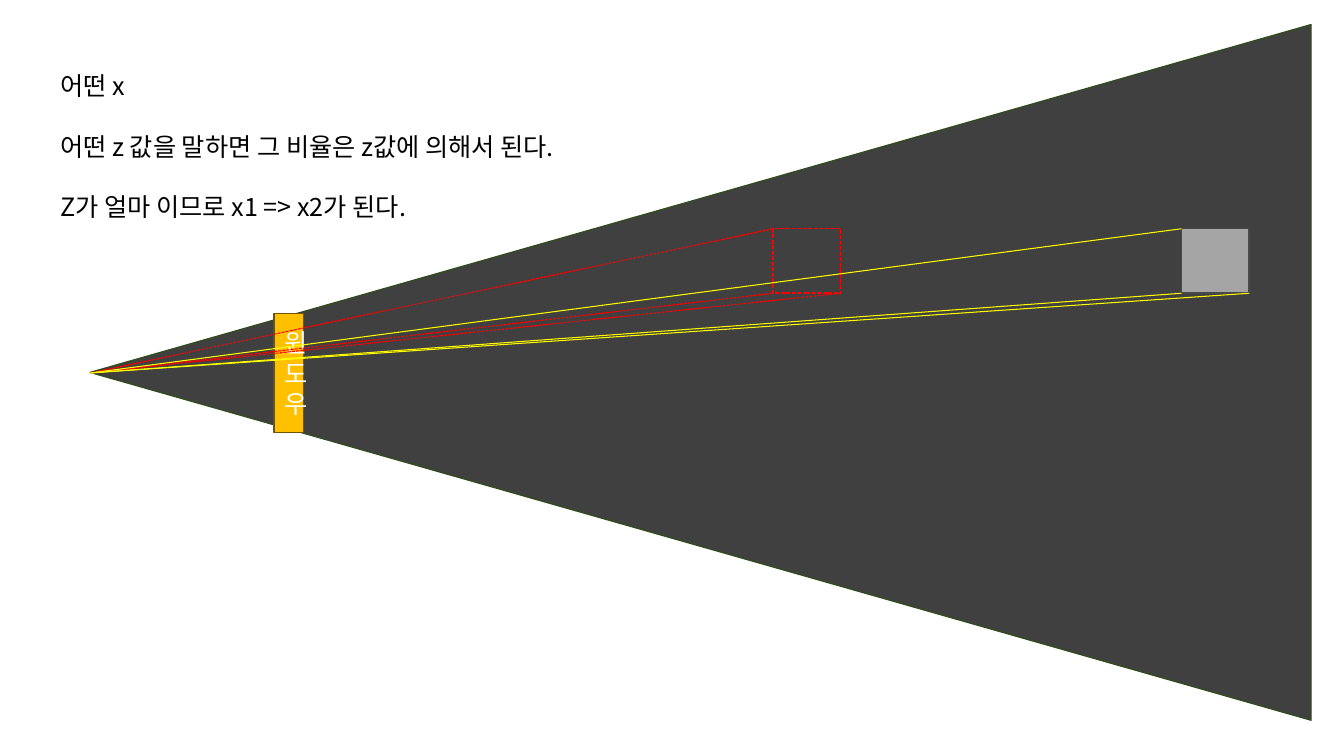
from pptx import Presentation
from pptx.dml.color import RGBColor
from pptx.enum.dml import MSO_LINE_DASH_STYLE as Dash
from pptx.enum.shapes import MSO_CONNECTOR as Connector, MSO_SHAPE as Preset
from pptx.enum.text import MSO_ANCHOR as Anchor, PP_ALIGN as Align
from pptx.oxml.ns import qn
from pptx.util import Pt
from lxml.etree import SubElement

FONT = "Noto Sans CJK KR"
WHITE = RGBColor(0xFF, 0xFF, 0xFF)
BLACK = RGBColor(0, 0, 0)
DARK = RGBColor(0x40, 0x40, 0x40)
GREEN = RGBColor(0x31, 0x4C, 0x1F)
AMBER = RGBColor(0xFF, 0xC0, 0x00)
BROWN = RGBColor(0x70, 0x54, 0x00)
RED = RGBColor(0xFF, 0, 0)
YELLOW = RGBColor(0xFF, 0xFF, 0)
GREY = RGBColor(0xA5, 0xA5, 0xA5)
SLATE = RGBColor(0x48, 0x48, 0x48)

EYE = (64.8, 266.4)
LINE_PITCH = 21.6
NOTES = ("어떤 x", "어떤 z 값을 말하면 그 비율은 z값에 의해서 된다.",
         "Z가 얼마 이므로 x1 => x2가 된다.")


def write_text(shape, lines, color=BLACK, align=Align.LEFT, anchor=Anchor.TOP, gap=0):
    """Write one paragraph per line with the given format."""
    frame = shape.text_frame
    frame.word_wrap = True
    frame.vertical_anchor = anchor
    for index, line in enumerate(lines):
        para = frame.add_paragraph() if index else frame.paragraphs[0]
        para.alignment = align
        para.line_spacing = Pt(LINE_PITCH)
        para.space_before = Pt(gap if index else 0)
        span = para.add_run()
        span.text = line
        span.font.size = Pt(18)
        span.font.name = FONT
        span.font.color.rgb = color
        SubElement(span.font._element, qn("a:ea"), typeface=FONT)


def add_preset(slide, preset, box, line, fill=None, dash=None):
    """Draw a preset shape in the box and return it."""
    shape = slide.shapes.add_shape(preset, *map(Pt, box))
    shape.shadow.inherit = False
    if fill is None:
        shape.fill.background()
    else:
        shape.fill.solid()
        shape.fill.fore_color.rgb = fill
    shape.line.color.rgb = line
    shape.line.width = Pt(1)
    shape.line.dash_style = dash
    return shape


def add_ray(slide, start, color, dash=None):
    """Draw a sight line from a point to the eye."""
    ray = slide.shapes.add_connector(Connector.STRAIGHT, *map(Pt, start + EYE))
    ray.line.color.rgb = color
    ray.line.width = Pt(0.75)
    ray.line.dash_style = dash
    SubElement(ray._element.spPr, qn("a:effectLst"))


def add_view_cone(slide, box):
    """Draw the field of view as a triangle pointing left across the box."""
    left, top, width, height = box
    upright = (left + (width - height) / 2, top + (height - width) / 2, height, width)
    cone = add_preset(slide, Preset.ISOSCELES_TRIANGLE, upright, GREEN, DARK)
    cone.rotation = 270


def add_window(slide, box):
    """Draw the labelled window in front of the eye."""
    window = add_preset(slide, Preset.RECTANGLE, box, BROWN, AMBER)
    write_text(window, ["윈도우"], color=WHITE, align=Align.CENTER, anchor=Anchor.MIDDLE)


def add_target(slide, box, line, ray_color, fill=None, dash=None):
    """Draw a target square and the rays from three of its corners."""
    left, top, width, height = box
    add_preset(slide, Preset.RECTANGLE, box, line, fill, dash)
    bottom = top + height
    for corner in ((left, top), (left, bottom), (left + width, bottom)):
        add_ray(slide, corner, ray_color, dash)


def add_notes(slide, box):
    """Write the explanation lines."""
    notes = slide.shapes.add_textbox(*map(Pt, box))
    write_text(notes, NOTES, gap=LINE_PITCH)


def build_deck():
    """Build and save the perspective slide."""
    deck = Presentation()
    deck.slide_width, deck.slide_height = Pt(960), Pt(540)
    slide = deck.slides.add_slide(deck.slide_layouts[6])
    add_view_cone(slide, (64.5, 17.6, 872, 496.8))
    add_window(slide, (195.8, 223.9, 20.9, 85))
    add_target(slide, (552.3, 163.4, 48.3, 46.1), RED, RED, dash=Dash.SQUARE_DOT)
    add_target(slide, (843.9, 163.4, 48.3, 46.1), SLATE, YELLOW, fill=GREY)
    add_notes(slide, (36, 46.8, 494, 116.6))
    deck.save("out.pptx")


build_deck()
